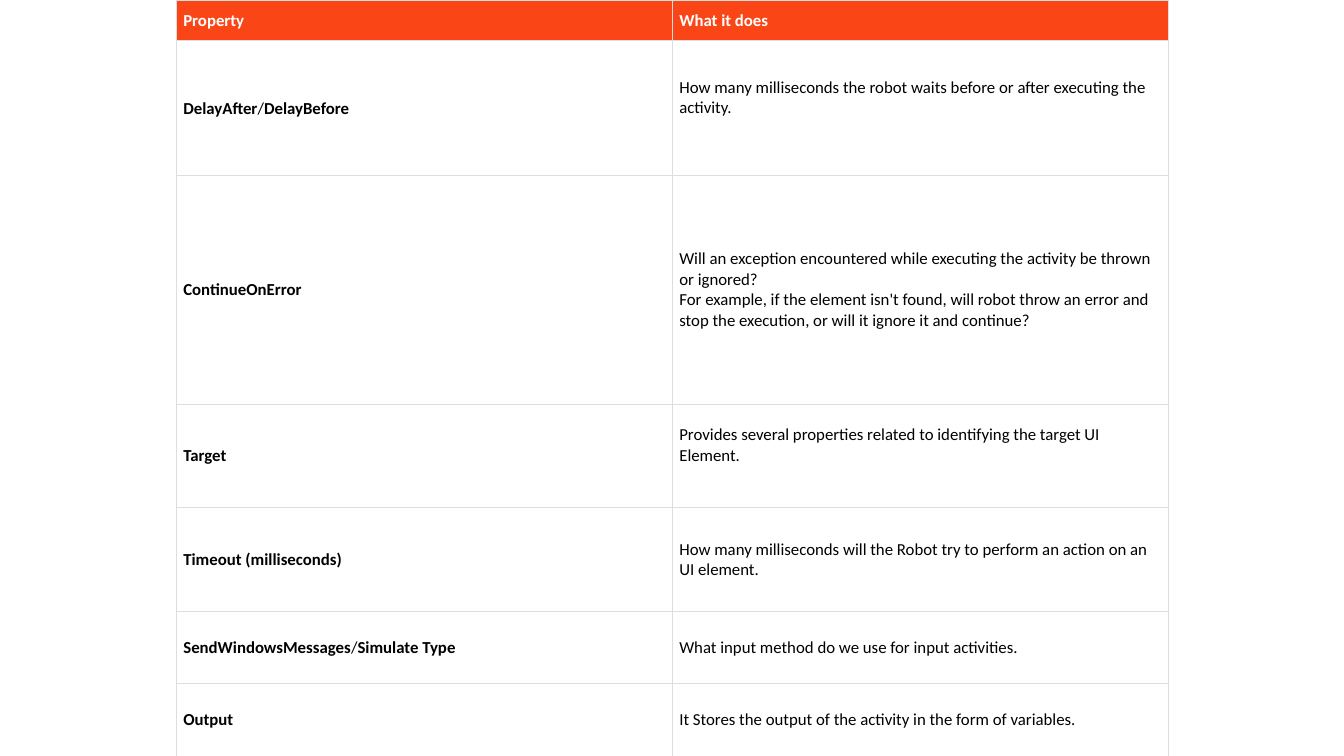
from lxml import etree
from pptx import Presentation
from pptx.dml.color import RGBColor
from pptx.enum.text import MSO_ANCHOR
from pptx.oxml.ns import qn
from pptx.util import Cm, Pt

MIDDLE = MSO_ANCHOR.MIDDLE
BLANK_LAYOUT = 6
FONT = "Calibri"
ORANGE, WHITE, BLACK, GRID = "FA4616", "FFFFFF", "000000", "DDDDDD"
LINE_HEIGHT = 0.52

HEADER = ("Property", "What it does")
# Row height, property names, description lines, lines left free below
PROPERTIES = [
    (3.4, ["DelayAfter", "DelayBefore"],
     ["How many milliseconds the robot waits before or after executing the activity."], 1),
    (5.75, ["ContinueOnError"],
     ["Will an exception encountered while executing the activity be thrown or ignored?",
      "For example, if the element isn't found, will robot throw an error and stop "
      "the execution, or will it ignore it and continue?"], 0),
    (2.61, ["Target"],
     ["Provides several properties related to identifying the target UI Element."], 1),
    (2.62, ["Timeout (milliseconds)"],
     ["How many milliseconds will the Robot try to perform an action on an UI element."], 0),
    (1.82, ["SendWindowsMessages", "Simulate Type"],
     ["What input method do we use for input activities."], 0),
    (1.82, ["Output"],
     ["It Stores the output of the activity in the form of variables."], 0),
]


def color(hex_value):
    return RGBColor.from_string(hex_value)


def add_run(paragraph, text, bold, text_color):
    run = paragraph.add_run()
    run.text = text
    run.font.name = FONT
    run.font.size = Pt(12)
    run.font.bold = bold
    run.font.color.rgb = color(text_color)


def add_borders(cell):
    properties = cell._tc.get_or_add_tcPr()
    for side in ("lnL", "lnR", "lnT", "lnB"):
        line = etree.SubElement(properties, qn(f"a:{side}"), w=str(Pt(0.75)))
        fill = etree.SubElement(line, qn("a:solidFill"))
        etree.SubElement(fill, qn("a:srgbClr"), val=GRID)


def format_cell(cell, fill, free_lines=0):
    """Style a cell and return its paragraph; free_lines raises the text."""
    cell.vertical_anchor = MIDDLE
    cell.margin_left = cell.margin_right = Cm(0.17)
    cell.margin_top = Cm(0.08)
    cell.margin_bottom = Cm(0.08 + free_lines * LINE_HEIGHT)
    add_borders(cell)
    cell.fill.solid()
    cell.fill.fore_color.rgb = color(fill)
    return cell.text_frame.paragraphs[0]


def fill_header(table):
    for column, heading in enumerate(HEADER):
        add_run(format_cell(table.cell(0, column), ORANGE), heading, True, WHITE)


def fill_property(table, row, names, description, free_lines):
    name_paragraph = format_cell(table.cell(row, 0), WHITE)
    for index, name in enumerate(names):
        if index:
            add_run(name_paragraph, "/", False, BLACK)
        add_run(name_paragraph, name, True, BLACK)

    description_paragraph = format_cell(table.cell(row, 1), WHITE, free_lines)
    for index, sentence in enumerate(description):
        if index:
            description_paragraph.add_line_break()
        add_run(description_paragraph, sentence, False, BLACK)


def add_property_table(slide, left, top, width, height):
    table = slide.shapes.add_table(
        len(PROPERTIES) + 1, len(HEADER), Cm(left), Cm(top), Cm(width), Cm(height)).table
    table.horz_banding = False
    for column in table.columns:
        column.width = Cm(width / len(HEADER))
    table.rows[0].height = Cm(height - sum(entry[0] for entry in PROPERTIES))
    fill_header(table)
    for row, (row_height, names, description, free_lines) in enumerate(PROPERTIES, 1):
        table.rows[row].height = Cm(row_height)
        fill_property(table, row, names, description, free_lines)


def main():
    presentation = Presentation()
    presentation.slide_width = Cm(33.87)
    presentation.slide_height = Cm(19.05)
    slide = presentation.slides.add_slide(presentation.slide_layouts[BLANK_LAYOUT])
    add_property_table(slide, 4.45, 0, 25, 19.05)
    presentation.save("out.pptx")


if __name__ == "__main__":
    main()
